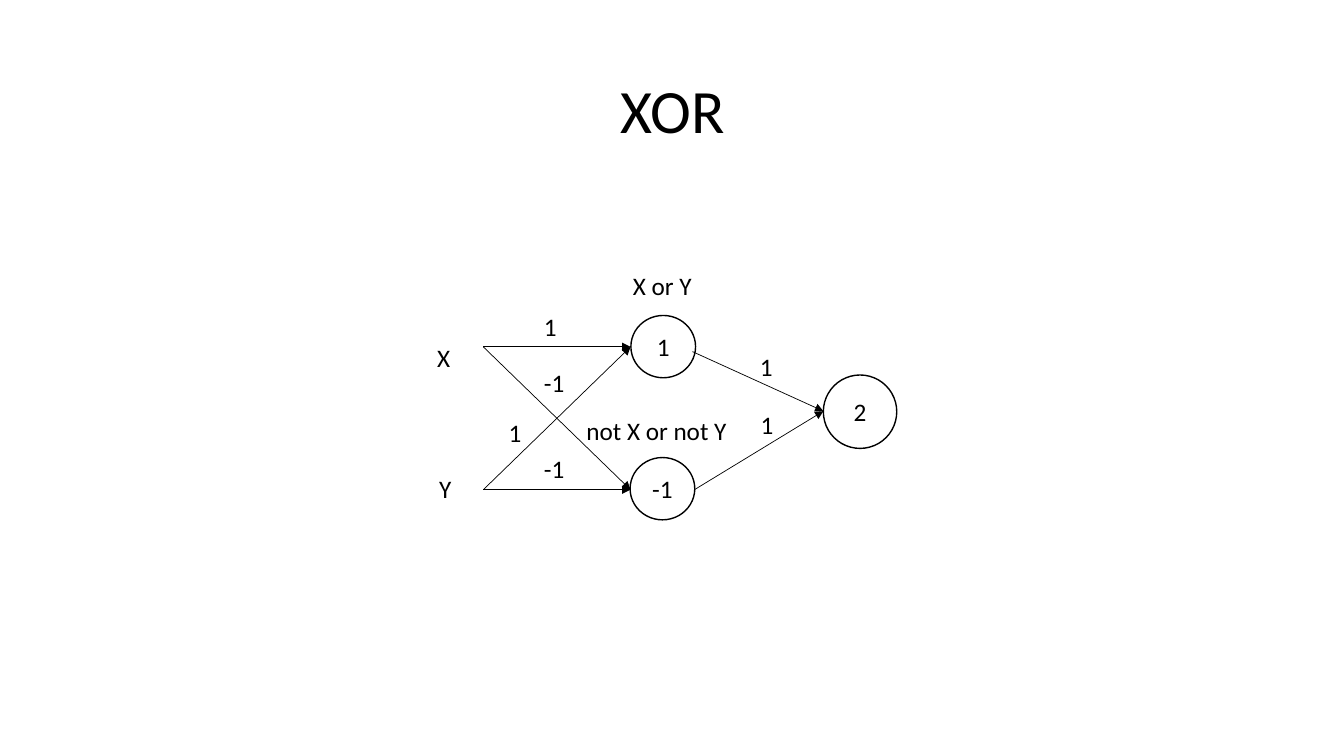
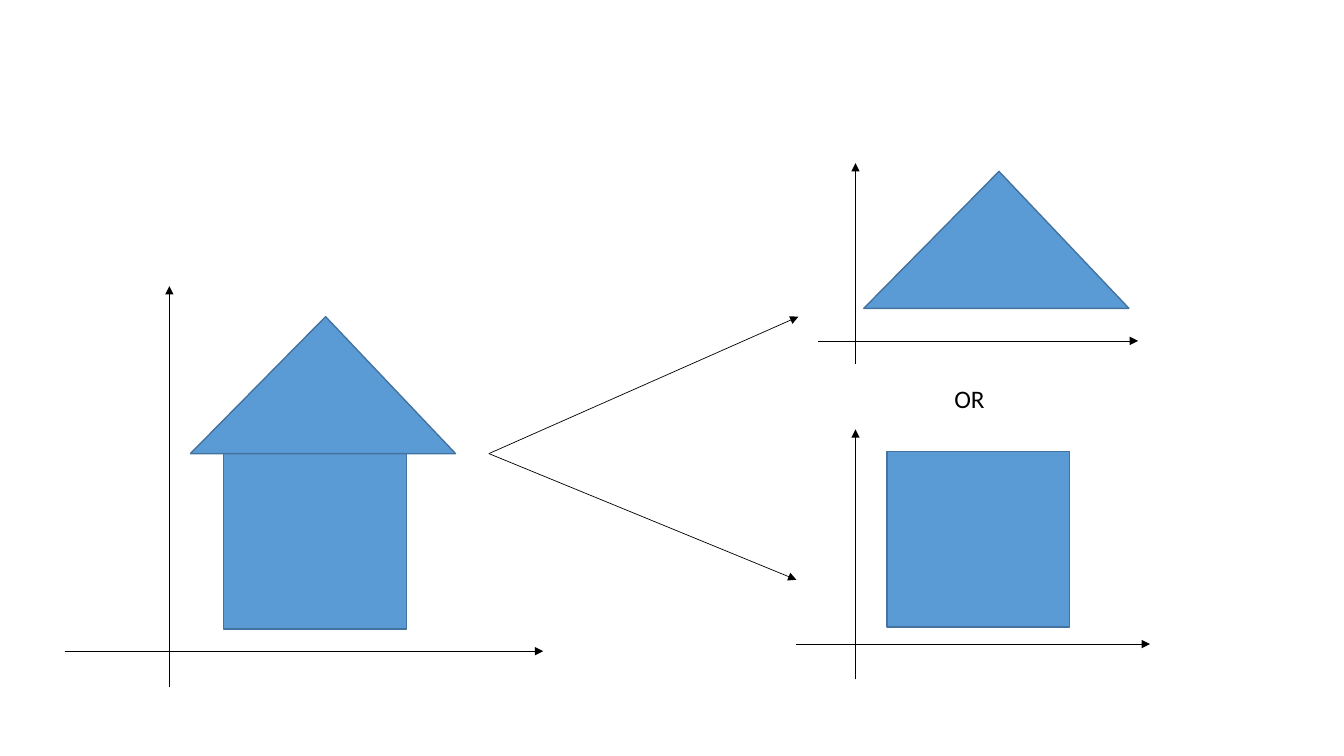
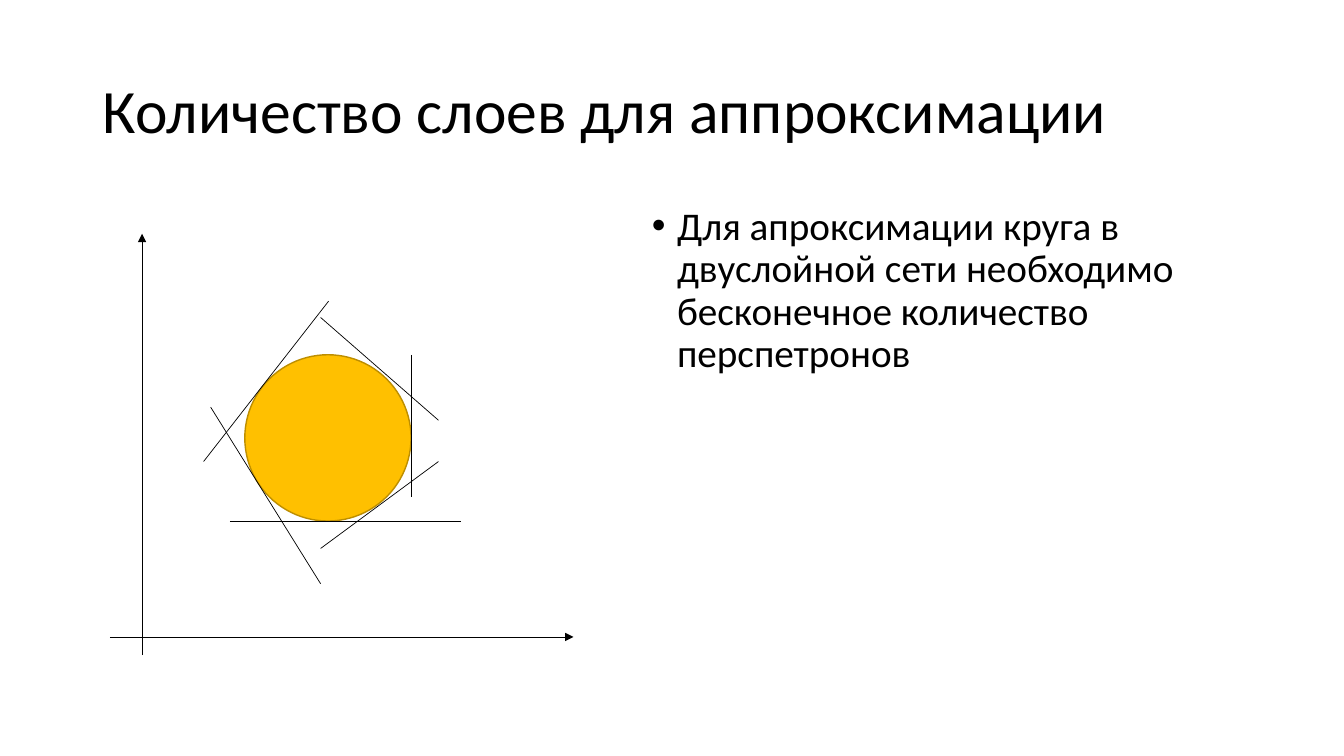
from lxml.etree import SubElement
from pptx import Presentation
from pptx.dml.color import RGBColor
from pptx.enum.shapes import MSO_CONNECTOR, MSO_SHAPE
from pptx.enum.text import MSO_ANCHOR as Anchor, MSO_AUTO_SIZE as AutoSize, PP_ALIGN as Align
from pptx.oxml.ns import qn
from pptx.util import Cm, Pt

BLACK, WHITE = "000000", "FFFFFF"
BLUE, DARK_BLUE = "5B9BD5", "43739E"
GOLD, DARK_GOLD = "FFC000", "BD8E00"
FONT = "Calibri"
TITLE_ONLY, BLANK = 5, 6
LABEL_HEIGHT = 1.02


def color(value):
    return RGBColor.from_string(value)


def write(text_frame, text, size=18, align=Align.LEFT, anchor=Anchor.TOP,
          line_spacing=None, space_before=0, bullet=False):
    text_frame.word_wrap = True
    text_frame.auto_size = AutoSize.NONE
    text_frame.vertical_anchor = anchor
    paragraph = text_frame.paragraphs[0]
    paragraph.alignment = align
    paragraph.line_spacing = line_spacing
    paragraph.space_before = Pt(space_before)
    if bullet:
        properties = paragraph._p.get_or_add_pPr()
        properties.set("marL", str(Pt(18)))
        properties.set("indent", str(-Pt(18)))
        SubElement(properties, qn("a:buFont"), typeface="Arial")
        SubElement(properties, qn("a:buChar"), char="•")
    run = paragraph.add_run()
    run.text = text
    run.font.name = FONT
    run.font.size = Pt(size)
    run.font.color.rgb = color(BLACK)


class Deck:
    """Holds the presentation, its shared style and the current slide."""

    def __init__(self):
        self.presentation = Presentation()
        self.presentation.slide_width = Cm(33.87)
        self.presentation.slide_height = Cm(19.05)
        self.slide = None

    def add_slide(self, title=None, align=Align.LEFT):
        layout = self.presentation.slide_layouts[TITLE_ONLY if title else BLANK]
        self.slide = self.presentation.slides.add_slide(layout)
        if title:
            shape = self.slide.shapes.title
            shape.left, shape.top = Cm(2.34), Cm(1.02)
            shape.width, shape.height = Cm(29.21), Cm(3.68)
            write(shape.text_frame, title, size=44, align=align,
                  anchor=Anchor.MIDDLE, line_spacing=0.9)

    def text(self, text, left, top, width, height=LABEL_HEIGHT, **style):
        box = self.slide.shapes.add_textbox(Cm(left), Cm(top), Cm(width), Cm(height))
        write(box.text_frame, text, **style)

    def shape(self, kind, left, top, width, height, fill, outline):
        shape = self.slide.shapes.add_shape(kind, Cm(left), Cm(top), Cm(width), Cm(height))
        shape.shadow.inherit = False
        shape.fill.solid()
        shape.fill.fore_color.rgb = color(fill)
        shape.line.color.rgb = color(outline)
        shape.line.width = Pt(1)
        return shape

    def neuron(self, text, left, top, width, height):
        circle = self.shape(MSO_SHAPE.OVAL, left, top, width, height, WHITE, BLACK)
        write(circle.text_frame, text, align=Align.CENTER, anchor=Anchor.MIDDLE)

    def square(self, left, top):
        self.shape(MSO_SHAPE.RECTANGLE, left, top, 4.6, 4.42, BLUE, DARK_BLUE)

    def triangle(self, left, top):
        triangle = self.shape(MSO_SHAPE.ISOSCELES_TRIANGLE, left, top, 6.68, 3.45,
                              BLUE, DARK_BLUE)
        triangle.adjustments[0] = 0.51

    def line(self, start, end, arrow=False):
        connector = self.slide.shapes.add_connector(
            MSO_CONNECTOR.STRAIGHT, *map(Cm, start + end))
        connector.line.color.rgb = color(BLACK)
        connector.line.width = Pt(0.5)
        if arrow:
            SubElement(connector.line._get_or_add_ln(), qn("a:tailEnd"), type="triangle")
        SubElement(connector._element.spPr, qn("a:effectLst"))

    def axes(self, origin, left, right, bottom, top):
        """Draw two arrows that cross at the origin."""
        x, y = origin
        self.line((x, bottom), (x, top), arrow=True)
        self.line((left, y), (right, y), arrow=True)


def build_xor_network(deck):
    deck.add_slide("XOR", align=Align.CENTER)
    deck.neuron("1", 15.9, 7.95, 1.63, 1.57)
    deck.neuron("-1", 15.88, 11.53, 1.63, 1.57)
    deck.neuron("2", 20.75, 9.45, 1.85, 1.85)

    upper_y, lower_y = 8.74, 12.34
    for input_y in (upper_y, lower_y):
        for neuron_y in (upper_y, lower_y):
            deck.line((12.18, input_y), (15.89, neuron_y), arrow=True)
    for start in ((17.45, 8.86), (17.5, lower_y)):
        deck.line(start, (20.75, 10.36), arrow=True)

    for text, left, top, width in (
        ("X", 10.77, 8.51, 0.84),
        ("Y", 10.82, 11.81, 0.84),
        ("X or Y", 15.7, 6.68, 2.1),
        ("not X or not Y", 14.53, 10.34, 4.3),
        ("1", 13.46, 7.72, 0.84),
        ("-1", 13.46, 9.12, 1.04),
        ("1", 12.57, 10.39, 0.84),
        ("-1", 13.46, 11.3, 1.04),
        ("1", 18.9, 8.74, 0.84),
        ("1", 18.92, 10.19, 0.84),
    ):
        deck.text(text, left, top, width)


def build_house_parts(deck):
    deck.add_slide()
    deck.axes((4.27, 16.41), left=1.63, right=13.69, bottom=17.32, top=7.21)
    deck.square(5.64, 11.43)
    deck.triangle(4.8, 7.98)

    for end in ((20.12, 7.98), (20.07, 14.61)):
        deck.line((12.32, 11.43), end, arrow=True)

    deck.axes((21.56, 8.59), left=20.62, right=28.68, bottom=9.17, top=4.11)
    deck.triangle(21.77, 4.32)
    deck.text("OR", 23.8, 9.53, 1.3)
    deck.axes((21.56, 16.23), left=20.07, right=28.98, bottom=17.12, top=10.82)
    deck.square(22.35, 11.38)


def build_circle_approximation(deck):
    deck.add_slide("Количество слоев для аппроксимации")
    deck.text("Для апроксимации круга в двуслойной сети необходимо "
              "бесконечное количество перспетронов",
              16.18, 5.08, 15.37, 12.09, size=28, line_spacing=0.9,
              space_before=10, bullet=True)
    deck.axes((3.58, 16.05), left=2.77, right=14.45, bottom=16.51, top=5.89)
    deck.shape(MSO_SHAPE.OVAL, 6.17, 8.94, 4.19, 4.19, GOLD, DARK_GOLD)
    for start, end in (
        ((8.08, 8), (11.05, 10.59)),
        ((10.36, 8.94), (10.36, 12.52)),
        ((11.05, 11.63), (8.08, 13.82)),
        ((5.79, 13.13), (11.63, 13.13)),
        ((5.31, 10.26), (8.08, 14.71)),
        ((5.13, 11.63), (8.28, 7.59)),
    ):
        deck.line(start, end)


def main():
    deck = Deck()
    build_xor_network(deck)
    build_house_parts(deck)
    build_circle_approximation(deck)
    deck.presentation.save("out.pptx")


if __name__ == "__main__":
    main()
